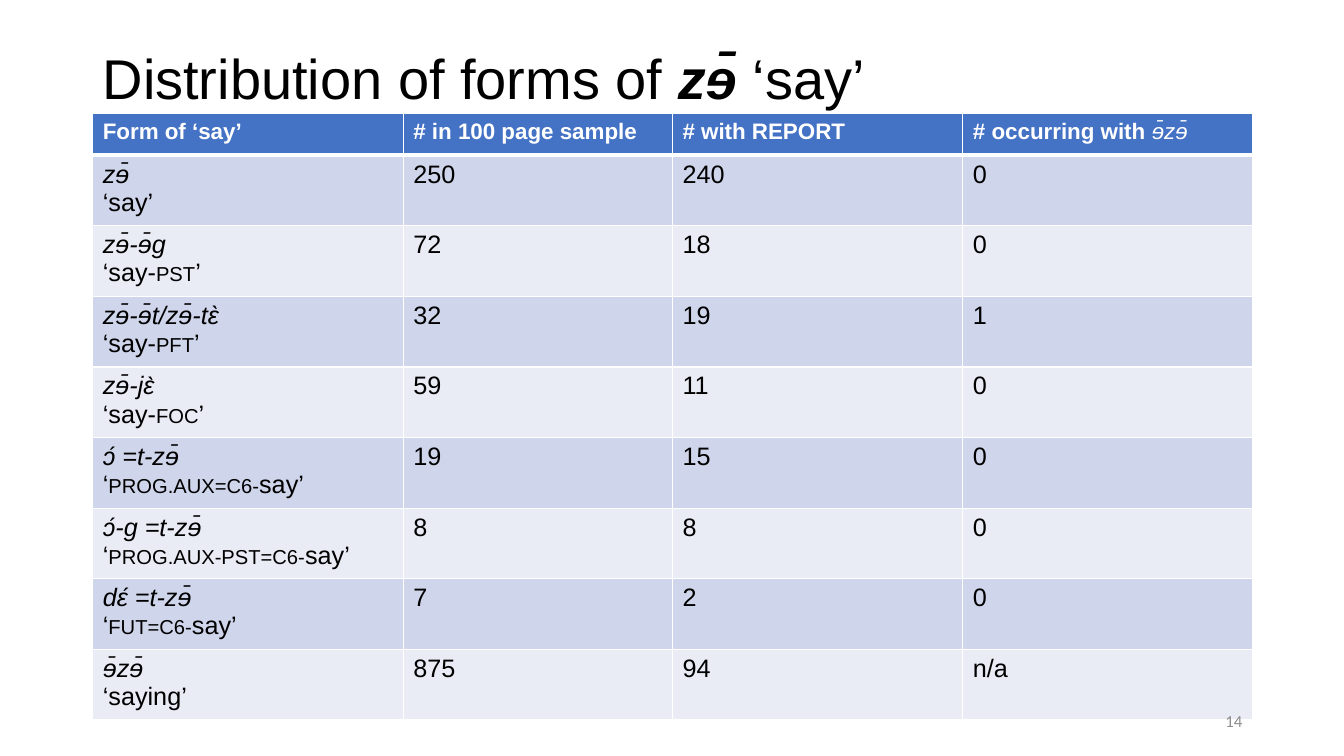
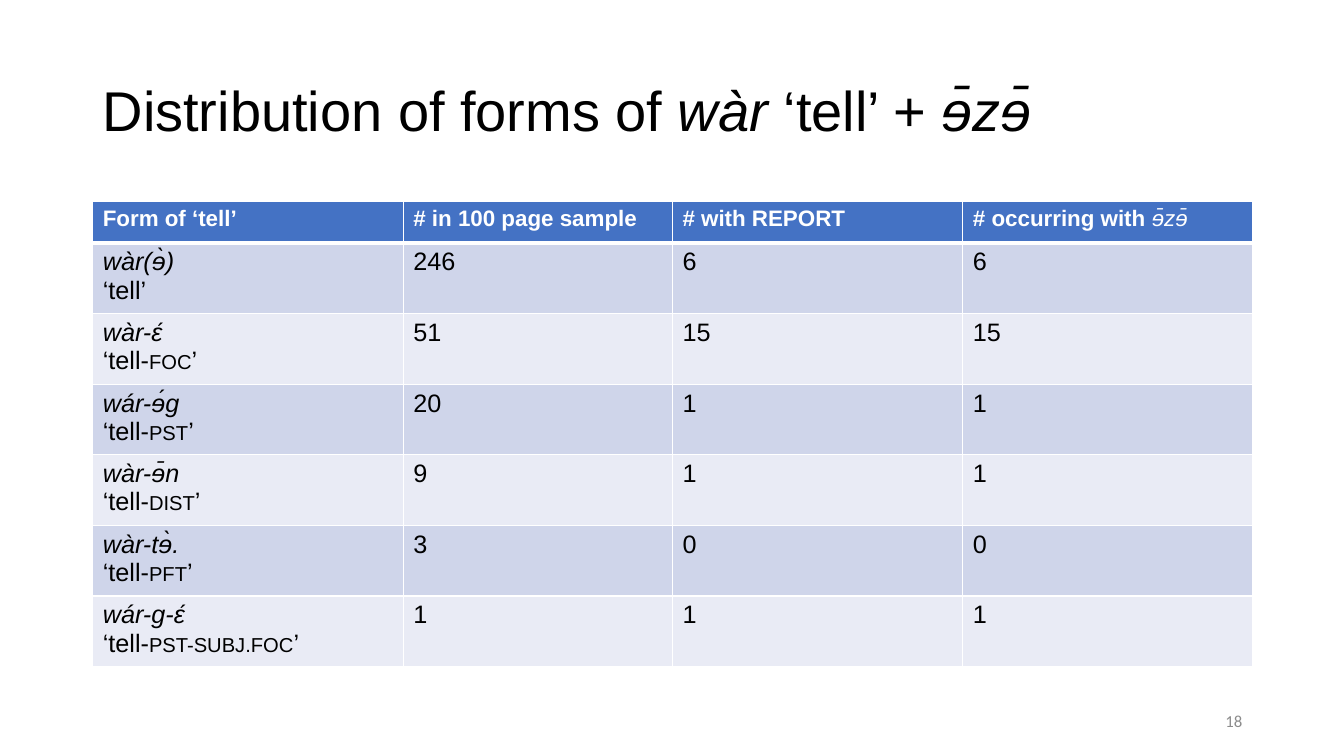
from pptx import Presentation
from pptx.dml.color import RGBColor
from pptx.enum.text import MSO_ANCHOR, PP_ALIGN
from pptx.oxml import parse_xml
from pptx.oxml.ns import nsdecls
from pptx.util import Inches, Pt

HUES = {"head": "4472C4", "dark": "CFD5EA", "light": "E9EBF5",
        "white": "FFFFFF", "black": "000000", "gray": "8C8C8C"}
TITLE = {"name": "Arial", "size": Pt(40), "hue": "black"}
HEAD = {"name": "Arial", "size": Pt(16), "hue": "white"}
BODY = {"name": "Arial", "size": Pt(18), "hue": "black"}
PAGE = {"name": "Calibri", "size": Pt(12), "hue": "gray"}
STYLES = {"plain": {"bold": False, "italic": False},
          "ital": {"bold": False, "italic": True},
          "bold": {"bold": True, "italic": False},
          "both": {"bold": True, "italic": True},
          "caps": {"bold": False, "italic": False}}
LEFT, WIDTH = 0.92, 11.5
COLS = [3.08, 2.67, 2.88, 2.87]
HEAD_ROW, BODY_ROW = 0.41, 0.66

SLIDES = [
    {"page": "14", "top": 0.08, "grid": 1.13, "word": "say",
     "title": [("Distribution of forms of ", "plain"), ("zɘ̄ ", "both"),
               ("‘say’", "plain")],
     "rows": [
         ("zɘ̄", "‘say’", "", "", "250", "240", "0"),
         ("zɘ̄-ɘ̄g", "‘say-", "pst", "’", "72", "18", "0"),
         ("zɘ̄-ɘ̄t/zɘ̄-tɛ̀", "‘say-", "pft", "’", "32", "19", "1"),
         ("zɘ̄-jɛ̀", "‘say-", "foc", "’", "59", "11", "0"),
         ("ɔ́ =t-zɘ̄", "‘", "prog.aux=c6-", "say’", "19", "15", "0"),
         ("ɔ́-g =t-zɘ̄", "‘", "prog.aux-pst=c6-", "say’", "8", "8", "0"),
         ("dɛ́ =t-zɘ̄", "‘", "fut=c6-", "say’", "7", "2", "0"),
         ("ɘ̄zɘ̄", "‘saying’", "", "", "875", "94", "n/a")]},
    {"page": "18", "top": 0.4, "grid": 2, "word": "tell",
     "title": [("Distribution of forms of ", "plain"), ("wàr", "ital"),
               (" ‘tell’ + ", "plain"), ("ɘ̄zɘ̄", "ital")],
     "rows": [
         ("wàr(ɘ̀)", "‘tell’", "", "", "246", "6", "6"),
         ("wàr-ɛ́", "‘tell-", "foc", "’", "51", "15", "15"),
         ("wár-ɘ́g", "‘tell-", "pst", "’", "20", "1", "1"),
         ("wàr-ɘ̄n", "‘tell-", "dist", "’", "9", "1", "1"),
         ("wàr-tɘ̀.", "‘tell-", "pft", "’", "3", "0", "0"),
         ("wár-g-ɛ́", "‘tell-", "pst-subj.foc", "’", "1", "1", "1")]},
]


def write(frame, lines, base):
    for num, runs in enumerate(lines):
        para = frame.add_paragraph() if num else frame.paragraphs[0]
        for text, style in runs:
            if not text:
                continue
            run = para.add_run()
            run.text = text
            for key, value in {**base, **STYLES[style]}.items():
                if key == "hue":
                    run.font.color.rgb = RGBColor.from_string(HUES[value])
                else:
                    setattr(run.font, key, value)
            if style == "caps":
                run._r.get_or_add_rPr().set("cap", "small")


def add_box(slide, place, runs, base):
    frame = slide.shapes.add_textbox(*map(Inches, place)).text_frame
    frame.word_wrap = True
    frame.vertical_anchor = MSO_ANCHOR.MIDDLE
    write(frame, [runs], base)
    return frame.paragraphs[0]


deck = Presentation()
deck.slide_width, deck.slide_height = Inches(13.33), Inches(7.5)

for data in SLIDES:
    slide = deck.slides.add_slide(deck.slide_layouts[6])
    title = add_box(slide, (LEFT, data["top"], WIDTH, 1.45), data["title"], TITLE)
    title.line_spacing = 0.9

    cells = [[[[(f"Form of ‘{data['word']}’", "bold")]],
              [[("# in 100 page sample", "bold")]],
              [[("# with REPORT", "bold")]],
              [[("# occurring with ", "bold"), ("ɘ̄zɘ̄", "ital")]]]]
    for form, start, caps, end, *counts in data["rows"]:
        gloss = [(start, "plain"), (caps, "caps"), (end, "plain")]
        cells.append([[[(form, "ital")], gloss]]
                     + [[[(count, "plain")]] for count in counts])

    high = HEAD_ROW + BODY_ROW * len(data["rows"])
    place = map(Inches, (LEFT, data["grid"], WIDTH, high))
    table = slide.shapes.add_table(len(cells), len(COLS), *place).table
    for col, wide in zip(table.columns, COLS):
        col.width = Inches(wide)
    for r, row in enumerate(cells):
        table.rows[r].height = Inches(BODY_ROW if r else HEAD_ROW)
        fill = ("light" if r % 2 == 0 else "dark") if r else "head"
        edges = {"L": 1, "R": 1, "T": 3 if r == 1 else 1, "B": 1 if r else 3}
        for c, lines in enumerate(row):
            cell = table.cell(r, c)
            write(cell.text_frame, lines, BODY if r else HEAD)
            props = cell._tc.get_or_add_tcPr()
            for side, thick in edges.items():
                props.append(parse_xml(
                    f'<a:ln{side} {nsdecls("a")} w="{Pt(thick)}"><a:solidFill>'
                    f'<a:srgbClr val="{HUES["white"]}"/></a:solidFill></a:ln{side}>'))
            cell.fill.solid()
            cell.fill.fore_color.rgb = RGBColor.from_string(HUES[fill])

    page = add_box(slide, (9.42, 6.95, 3, 0.4), [(data["page"], "plain")], PAGE)
    page.alignment = PP_ALIGN.RIGHT

deck.save("out.pptx")
